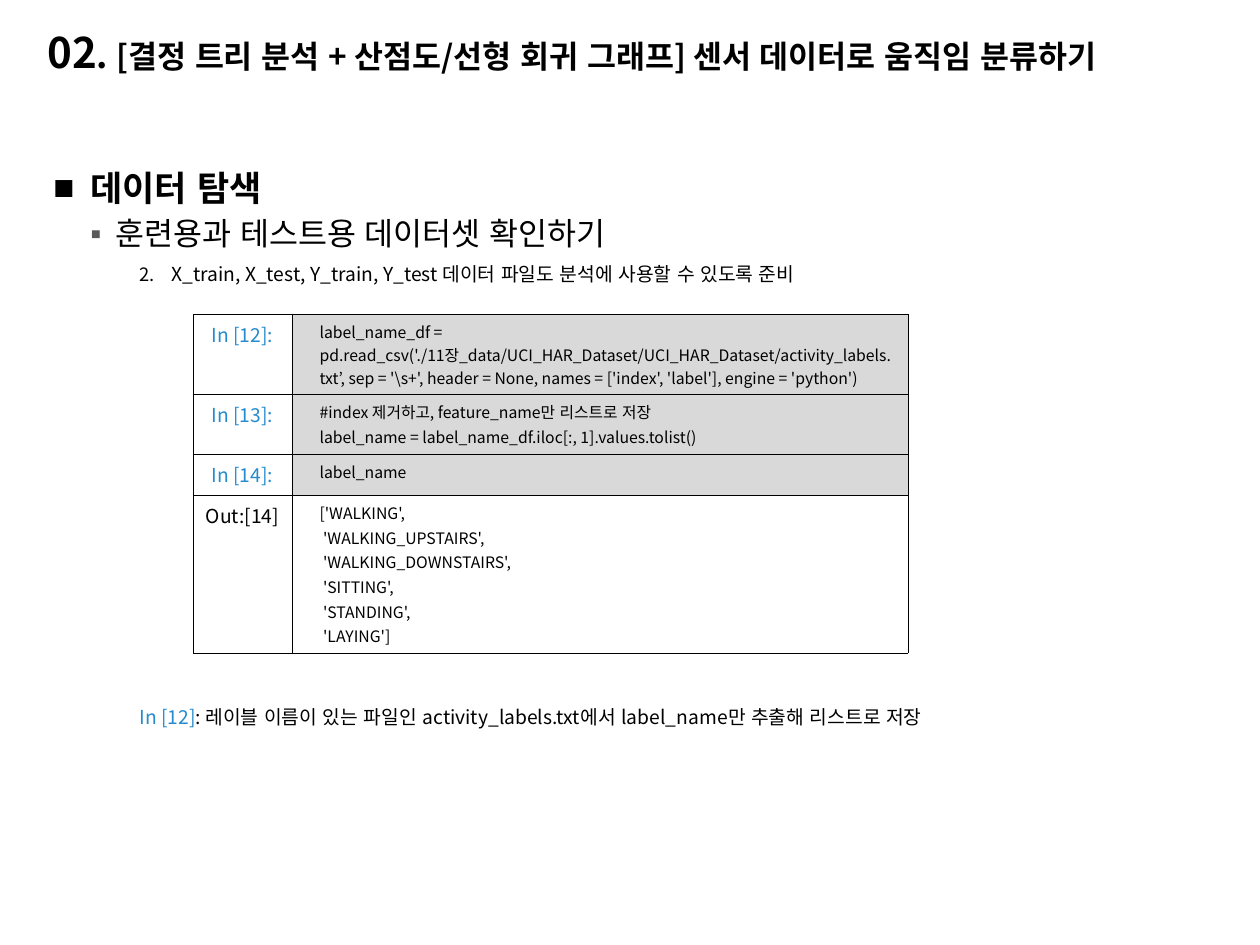
"""Build the slide on exploring the sensor data label names."""
from dataclasses import dataclass

from lxml import etree
from pptx import Presentation
from pptx import util as u
from pptx.dml.color import RGBColor
from pptx.enum import lang
from pptx.enum import text as t
from pptx.oxml.ns import qn

PX = 914400 // 126
SANS = "Noto Sans CJK KR"
BLACK, BLUE, GREY, LIGHT, WHITE = "000000", "258BCD", "595959", "D9D9D9", "FFFFFF"


@dataclass(frozen=True)
class Span:
    """A stretch of text in one format."""
    words: str
    size: float
    colour: str = BLACK
    bold: bool = False
    font: str = SANS


@dataclass(frozen=True)
class Bullet:
    """A list mark, its colour and the indents around it in px."""
    kind: str
    attributes: dict
    colour: str
    margin: int
    hang: int
    percent: int = 100


@dataclass(frozen=True)
class Step:
    """One notebook row: prompt, code lines, fill and height in px."""
    prompt: Span
    code: list
    fill: str
    height: int
    anchor: t.MSO_ANCHOR = t.MSO_ANCHOR.TOP


def px(length: int) -> u.Emu:
    """Turn px into EMU."""
    return u.Emu(length * PX)


def rgb(colour: str) -> RGBColor:
    """Turn a hex string into a colour."""
    return RGBColor.from_string(colour)


def child(parent, tag: str, **attributes):
    """Append a drawing element."""
    return etree.SubElement(parent, qn(f"a:{tag}"), attributes)


def write(paragraph, spans: list) -> None:
    """Fill a paragraph with formatted runs."""
    for span in spans:
        run = paragraph.add_run()
        run.text = span.words
        run.font.size = u.Pt(span.size)
        run.font.bold = span.bold
        run.font.language_id = lang.MSO_LANGUAGE_ID.KOREAN
        run.font.color.rgb = rgb(span.colour)
        run.font.name = span.font
        child(run._r.get_or_add_rPr(), "ea", typeface=span.font)


def add_bullet(paragraph, bullet: Bullet) -> None:
    """Give a paragraph its list mark and hanging indent."""
    properties = paragraph._p.get_or_add_pPr()
    properties.set("marL", str(px(bullet.margin)))
    properties.set("indent", str(-px(bullet.hang)))
    child(child(properties, "buClr"), "srgbClr", val=bullet.colour)
    child(properties, "buSzPct", val=str(bullet.percent * 1000))
    child(properties, "buFont", typeface="Arial")
    child(properties, bullet.kind, **bullet.attributes)


def add_text(slide, left: int, top: int, width: int, height: int):
    """Add a wrapping text box and return its frame."""
    frame = slide.shapes.add_textbox(px(left), px(top), px(width), px(height)).text_frame
    frame.word_wrap = True
    return frame


def style_cell(cell, fill: str, anchor: t.MSO_ANCHOR) -> None:
    """Set the borders, fill and anchor of a cell."""
    properties = cell._tc.get_or_add_tcPr()
    for side in ("lnL", "lnR", "lnT", "lnB"):
        line = child(properties, side, w=str(u.Pt(0.25)))
        child(child(line, "solidFill"), "srgbClr", val=BLACK)
    cell.fill.solid()
    cell.fill.fore_color.rgb = rgb(fill)
    cell.vertical_anchor = anchor


def add_notebook(slide, steps: list) -> None:
    """Draw the notebook steps as a table."""
    widths = (99, 616)
    table = slide.shapes.add_table(
        len(steps), 2, px(193), px(314), px(sum(widths)), px(sum(s.height for s in steps))
    ).table
    table.first_row = table.horz_banding = False
    for column, width in zip(table.columns, widths):
        column.width = px(width)
    for row, step in zip(table.rows, steps):
        row.height = px(step.height)
        prompt, code = row.cells
        style_cell(prompt, WHITE, t.MSO_ANCHOR.TOP)
        style_cell(code, step.fill, step.anchor)
        label = prompt.text_frame.paragraphs[0]
        label.alignment = t.PP_ALIGN.CENTER
        write(label, [step.prompt])
        for index, line in enumerate(step.code):
            frame = code.text_frame
            paragraph = frame.add_paragraph() if index else frame.paragraphs[0]
            paragraph._p.get_or_add_pPr().set("marL", str(px(15)))
            paragraph.space_before = u.Pt(0.5 if index else 0)
            paragraph.space_after = u.Pt(0.5)
            write(paragraph, [Span(line, 9)])


def add_outline(slide) -> None:
    """Write the section heading and its two sublevels."""
    levels = [
        (Span("데이터 탐색", 20, bold=True, font="Arial"),
         Bullet("buChar", {"char": "■"}, BLACK, 37, 37), 1.5, 0),
        (Span("훈련용과 테스트용 데이터셋 확인하기", 18),
         Bullet("buChar", {"char": "▪"}, GREY, 62, 25), 1.0, 3.6),
        (Span("X_train, X_test, Y_train, Y_test 데이터 파일도 분석에 사용할 수 있도록 준비", 11),
         Bullet("buAutoNum", {"type": "arabicPeriod", "startAt": "2"}, BLACK, 118, 32, 96),
         1.0, 5.6),
    ]
    frame = add_text(slide, 41, 139, 1194, 165)
    for index, (span, bullet, spacing, before) in enumerate(levels):
        paragraph = frame.add_paragraph() if index else frame.paragraphs[0]
        add_bullet(paragraph, bullet)
        paragraph.line_spacing = spacing
        paragraph.space_before = u.Pt(before)
        write(paragraph, [span])


def main() -> None:
    """Build and save the slide."""
    deck = Presentation()
    deck.slide_width, deck.slide_height = u.Inches(10), u.Inches(7.5)
    slide = deck.slides.add_slide(deck.slide_layouts[6])

    title = add_text(slide, 35, 14, 1181, 76)
    title.vertical_anchor = t.MSO_ANCHOR.MIDDLE
    write(title.paragraphs[0], [
        Span("02", 24, bold=True),
        Span(". ", 20, bold=True),
        Span("[결정 트리 분석 + 산점도/선형 회귀 그래프] 센서 데이터로 움직임 분류하기", 18, bold=True),
    ])
    add_outline(slide)

    read_labels = (
        "label_name_df = pd.read_csv('./11장_data/UCI_HAR_Dataset/UCI_HAR_Dataset/"
        r"activity_labels.txt’, sep = '\s+', header = None, "
        "names = ['index', 'label'], engine = 'python')"
    )
    add_notebook(slide, [
        Step(Span("In [12]:", 11, BLUE), [read_labels], LIGHT, 80),
        Step(Span("In [13]:", 11, BLUE),
             ["#index 제거하고, feature_name만 리스트로 저장",
              "label_name = label_name_df.iloc[:, 1].values.tolist()"], LIGHT, 60),
        Step(Span("In [14]:", 11, BLUE), ["label_name"], LIGHT, 41),
        Step(Span("Out:[14]", 11),
             ["['WALKING',", " 'WALKING_UPSTAIRS',", " 'WALKING_DOWNSTAIRS',",
              " 'SITTING',", " 'STANDING',", " 'LAYING']"],
             WHITE, 158, t.MSO_ANCHOR.MIDDLE),
    ])

    explanation = add_text(slide, 127, 699, 1107, 41)
    write(explanation.paragraphs[0], [
        Span("In [12]", 11, BLUE),
        Span(": 레이블 이름이 있는 파일인 activity_labels.txt에서 label_name만 추출해 리스트로 저장", 11),
    ])
    deck.save("out.pptx")


if __name__ == "__main__":
    main()
